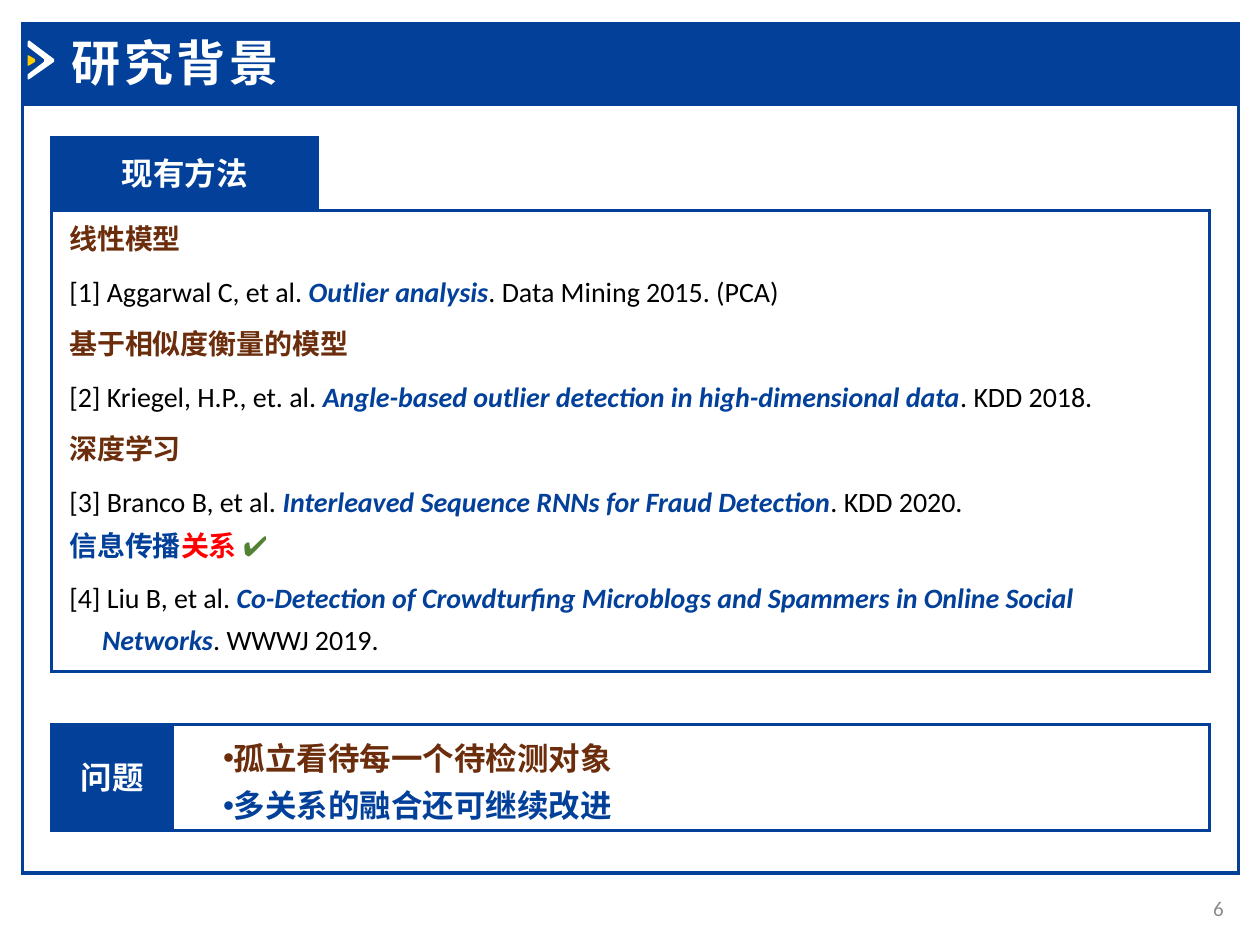
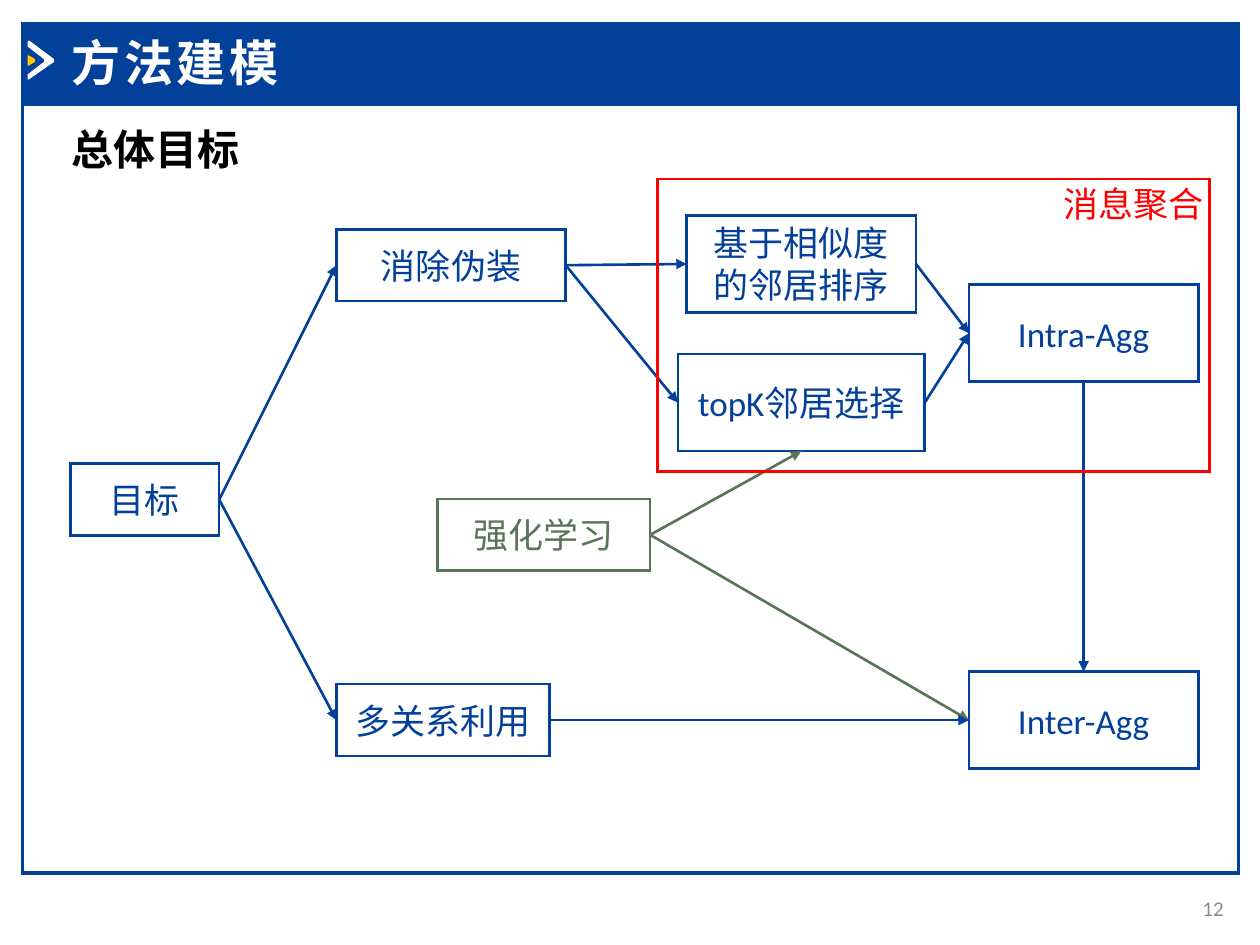
"""Build two slides on fraud detection: existing methods and the overall goal."""
from dataclasses import dataclass, field
from typing import Any, NamedTuple

from lxml import etree
from pptx import Presentation
from pptx import util as u
from pptx.dml.color import RGBColor
from pptx.enum import shapes, text
from pptx.oxml import ns

BLUE, BROWN, GREEN, RED = "02409A", "6B2D0B", "587558", "FF0000"
WHITE, BLACK, GREY, YELLOW, TICK = "FFFFFF", "000000", "8C8C8C", "FFCC00", "548235"
LATIN, CHINESE = "Calibri", "Noto Sans CJK SC"
LEFT, CENTER, RIGHT = text.PP_ALIGN.LEFT, text.PP_ALIGN.CENTER, text.PP_ALIGN.RIGHT
TOP, MIDDLE = text.MSO_ANCHOR.TOP, text.MSO_ANCHOR.MIDDLE
SIDE_TOP, SIDE_LEFT, SIDE_BOTTOM, SIDE_RIGHT = range(4)
FIRST_MASTER_ID = 101


class Box(NamedTuple):
    """Position and size in inches."""
    left: float
    top: float
    width: float
    height: float

    def lengths(self) -> list[u.Length]:
        """Return the four values as lengths."""
        return [u.Inches(value) for value in self]


class Run(NamedTuple):
    """A stretch of text with one look."""
    words: str
    color: str = BLACK
    size: float = 16
    bold: bool = False
    italic: bool = False
    font: str = LATIN
    tracking: float = 0


@dataclass
class Line:
    """A paragraph: its runs, paragraph format, indents in inches and bullet."""
    runs: list[Run]
    format: dict[str, Any] = field(default_factory=dict)
    margin: float = 0
    indent: float = 0
    bullet: str = ""


@dataclass
class Panel:
    """A rectangle with an optional fill and label."""
    box: Box
    label: str = ""
    line: str = BLUE
    fill: str = ""
    label_color: str = WHITE
    label_size: float = 18
    bold: bool = True
    weight: float = 1.5


class Arrow(NamedTuple):
    """An arrow between the sides of two named panels."""
    source: str
    source_side: int
    target: str
    target_side: int
    color: str = BLUE


def rgb(color: str) -> RGBColor:
    """Turn a hex string into a colour."""
    return RGBColor.from_string(color)


def apply(target: Any, values: dict[str, Any]) -> None:
    """Set every named attribute of the target."""
    for name, value in values.items():
        setattr(target, name, value)


def write(shape: Any, lines: list[Line], anchor: Any = TOP) -> None:
    """Fill the shape's text frame with the lines."""
    frame = shape.text_frame
    apply(frame, {"word_wrap": True, "auto_size": text.MSO_AUTO_SIZE.NONE,
                  "vertical_anchor": anchor})
    for number, line in enumerate(lines):
        paragraph = frame.add_paragraph() if number else frame.paragraphs[0]
        properties = paragraph._p.get_or_add_pPr()
        properties.set("marL", str(u.Inches(line.margin)))
        properties.set("indent", str(u.Inches(line.indent)))
        bullet = etree.SubElement(properties, ns.qn("a:buChar" if line.bullet else "a:buNone"))
        if line.bullet:
            bullet.set("char", line.bullet)
        spacing = {"alignment": LEFT, "line_spacing": 1.0,
                   "space_before": u.Pt(0), "space_after": u.Pt(0)}
        apply(paragraph, spacing | line.format)
        for item in line.runs:
            run = paragraph.add_run()
            run.text = item.words
            apply(run.font, {"name": item.font, "size": u.Pt(item.size),
                             "bold": item.bold, "italic": item.italic})
            run.font.color.rgb = rgb(item.color)
            run_properties = run._r.get_or_add_rPr()
            etree.SubElement(run_properties, ns.qn("a:ea")).set("typeface", CHINESE)
            if item.tracking:
                run_properties.set("spc", str(int(item.tracking * 100)))


def place(shape: Any, box: Box) -> None:
    """Move a placeholder to the box."""
    apply(shape, dict(zip(("left", "top", "width", "height"), box.lengths())))


def paint(shape: Any, fill: str = "", line: str = "", weight: float = 1.5) -> None:
    """Give the shape its fill and sharp-cornered outline without a shadow."""
    shape.shadow.inherit = False
    if fill:
        shape.fill.solid()
        shape.fill.fore_color.rgb = rgb(fill)
    else:
        shape.fill.background()
    if line:
        shape.line.color.rgb = rgb(line)
        shape.line.width = u.Pt(weight)
        join = etree.SubElement(shape.line._get_or_add_ln(), ns.qn("a:miter"))
        join.set("lim", "800000")
    else:
        shape.line.fill.background()


def draw_panel(slide: Any, panel: Panel) -> Any:
    """Draw a rectangle with its centred label."""
    shape = slide.shapes.add_shape(shapes.MSO_SHAPE.RECTANGLE, *panel.box.lengths())
    paint(shape, panel.fill, panel.line, panel.weight)
    if panel.label:
        label = Run(panel.label, panel.label_color, panel.label_size, panel.bold)
        write(shape, [Line([label], {"alignment": CENTER})], MIDDLE)
    return shape


def draw_outline(slide: Any, points: list[tuple[float, float]], fill: str) -> Any:
    """Draw a closed, filled outline through points in inches."""
    start, *others = [(u.Inches(x), u.Inches(y)) for x, y in points]
    builder = slide.shapes.build_freeform(*start)
    builder.add_line_segments(others, close=True)
    shape = builder.convert_to_shape()
    paint(shape, fill)
    return shape


def draw_arrow(slide: Any, arrow: Arrow, nodes: dict[str, Any]) -> None:
    """Join two panels with a straight arrow."""
    connector = slide.shapes.add_connector(shapes.MSO_CONNECTOR.STRAIGHT, 0, 0, 0, 0)
    connector.begin_connect(nodes[arrow.source], arrow.source_side)
    connector.end_connect(nodes[arrow.target], arrow.target_side)
    connector.line.color.rgb = rgb(arrow.color)
    connector.line.width = u.Pt(1.5)
    etree.SubElement(connector.line._get_or_add_ln(), ns.qn("a:tailEnd")).set("type", "triangle")
    etree.SubElement(connector._element.spPr, ns.qn("a:effectLst"))


def draw_text(slide: Any, box: Box, line: Line) -> None:
    """Add a text box with one vertically centred line."""
    write(slide.shapes.add_textbox(*box.lengths()), [line], MIDDLE)


def share_frame(presentation: Any, slide: Any) -> None:
    """Draw the frame, title band and chevron and move them to the master."""
    chevron = [(0.22, 0.33), (0.23, 0.32), (0.43, 0.47), (0.43, 0.49), (0.23, 0.63),
               (0.22, 0.63), (0.22, 0.59), (0.35, 0.49), (0.35, 0.47), (0.22, 0.37)]
    tip = [(0.22, 0.44), (0.23, 0.44), (0.28, 0.47), (0.28, 0.49), (0.23, 0.52), (0.22, 0.52)]
    frame = [
        draw_panel(slide, Panel(Box(0.18, 0.83, 9.65, 6.1), weight=2)),
        draw_panel(slide, Panel(Box(0.18, 0.19, 9.65, 0.64), fill=BLUE, weight=2)),
        draw_outline(slide, chevron, WHITE),
        draw_outline(slide, tip, YELLOW),
    ]
    for number, shape in enumerate(frame, FIRST_MASTER_ID):
        shape._element.nvSpPr.cNvPr.set("id", str(number))
        presentation.slide_master.shapes._spTree.append(shape._element)


def start_slide(presentation: Any, layout: int, title: str, page: int) -> Any:
    """Add a slide with its title and page number."""
    slide = presentation.slides.add_slide(presentation.slide_layouts[layout])
    place(slide.shapes.title, Box(0.47, 0.21, 3.56, 0.57))
    write(slide.shapes.title, [Line([Run(title, WHITE, 28, True, tracking=2)])])
    draw_text(slide, Box(9.22, 7.01, 0.59, 0.4),
              Line([Run(str(page), GREY, 12)], {"alignment": RIGHT}))
    return slide


def heading(runs: list[Run], line_spacing: float, space_before: float = 6) -> Line:
    """Return the heading of a group of methods."""
    return Line(runs, {"line_spacing": line_spacing, "space_before": u.Pt(space_before),
                       "space_after": u.Pt(6)}, 0.26, -0.26)


def reference(authors: str, work: str, venue: str) -> Line:
    """Return a reference with its title emphasised."""
    runs = [Run(authors), Run(work, BLUE, bold=True, italic=True), Run(venue)]
    return Line(runs, {"line_spacing": 1.25}, 0.26, -0.26)


def build_background(presentation: Any) -> None:
    """Build the slide on existing methods and their problems."""
    slide = start_slide(presentation, 3, "研究背景", 6)
    share_frame(presentation, slide)
    for panel in (
        Panel(Box(0.41, 1.67, 9.19, 3.66)),
        Panel(Box(0.41, 1.09, 2.11, 0.57), "现有方法", fill=BLUE),
        Panel(Box(0.41, 5.75, 0.96, 0.84), "问题", fill=BLUE),
        Panel(Box(1.37, 5.75, 8.23, 0.84)),
    ):
        draw_panel(slide, panel)

    def topic(words: str, color: str = BROWN) -> Run:
        """Return a bold run in the Chinese font."""
        return Run(words, color, bold=True, font=CHINESE)

    methods, problems = slide.placeholders[1], slide.placeholders[2]
    place(methods, Box(0.45, 1.71, 8.93, 3.62))
    write(methods, [
        heading([topic("线性模型")], 1.0, 0),
        reference("[1] Aggarwal C, et al. ", "Outlier analysis", ". Data Mining 2015. (PCA)"),
        heading([topic("基于相似度衡量的模型")], 1.25),
        reference("[2] Kriegel, H.P., et. al. ",
                  "Angle-based outlier detection in high-dimensional data", ". KDD 2018."),
        heading([topic("深度学习")], 1.25),
        reference("[3] Branco B, et al. ",
                  "Interleaved Sequence RNNs for Fraud Detection", ". KDD 2020."),
        heading([topic("信息传播", BLUE), topic("关系 ", RED), topic("✔", TICK)], 1.0),
        reference("[4] Liu B, et al.", " Co-Detection of Crowdturfing Microblogs and "
                  "Spammers in Online Social Networks", ". WWWJ 2019."),
    ])
    place(problems, Box(1.47, 5.74, 5.94, 0.85))
    write(problems, [
        Line([Run(words, color, 18, True)], {"line_spacing": 1.25}, 0, 0.2, "•")
        for words, color in (("孤立看待每一个待检测对象", BROWN), ("多关系的融合还可继续改进", BLUE))
    ])


def build_model(presentation: Any) -> None:
    """Build the slide with the diagram of the overall goal."""
    slide = start_slide(presentation, 1, "方法建模", 12)
    place(slide.placeholders[1], Box(0.47, 0.93, 8.33, 0.91))
    write(slide.placeholders[1], [Line([Run("总体目标", BLACK, 24, True)])])
    boxes = {
        "目标": Box(0.56, 3.68, 1.18, 0.57),
        "消除伪装": Box(2.67, 1.82, 1.82, 0.57),
        "多关系利用": Box(2.67, 5.43, 1.69, 0.57),
        "强化学习": Box(3.47, 3.96, 1.69, 0.57),
        "基于相似度的邻居排序": Box(5.45, 1.71, 1.82, 0.77),
        "topK邻居选择": Box(5.38, 2.81, 1.96, 0.77),
        "Intra-Agg": Box(7.69, 2.26, 1.82, 0.77),
        "Inter-Agg": Box(7.69, 5.33, 1.82, 0.77),
    }
    nodes = {}
    for label, box in boxes.items():
        color = GREEN if label == "强化学习" else BLUE
        nodes[label] = draw_panel(slide, Panel(box, label, color, label_color=color,
                                               label_size=20, bold=False))
    for arrow in (
        Arrow("目标", SIDE_RIGHT, "消除伪装", SIDE_LEFT),
        Arrow("目标", SIDE_RIGHT, "多关系利用", SIDE_LEFT),
        Arrow("强化学习", SIDE_RIGHT, "topK邻居选择", SIDE_BOTTOM, GREEN),
        Arrow("强化学习", SIDE_RIGHT, "Inter-Agg", SIDE_LEFT, GREEN),
        Arrow("多关系利用", SIDE_RIGHT, "Inter-Agg", SIDE_LEFT),
        Arrow("Intra-Agg", SIDE_BOTTOM, "Inter-Agg", SIDE_TOP),
        Arrow("消除伪装", SIDE_RIGHT, "基于相似度的邻居排序", SIDE_LEFT),
        Arrow("消除伪装", SIDE_RIGHT, "topK邻居选择", SIDE_LEFT),
        Arrow("基于相似度的邻居排序", SIDE_RIGHT, "Intra-Agg", SIDE_LEFT),
        Arrow("topK邻居选择", SIDE_RIGHT, "Intra-Agg", SIDE_LEFT),
    ):
        draw_arrow(slide, arrow, nodes)
    draw_panel(slide, Panel(Box(5.22, 1.42, 4.38, 2.32), line=RED))
    draw_text(slide, Box(8.31, 1.36, 1.37, 0.51),
              Line([Run("消息聚合", RED, 20)], {"alignment": CENTER}))


def main() -> None:
    """Create and save the presentation."""
    presentation = Presentation()
    apply(presentation, {"slide_width": u.Inches(10), "slide_height": u.Inches(7.5)})
    build_background(presentation)
    build_model(presentation)
    presentation.save("out.pptx")


if __name__ == "__main__":
    main()
